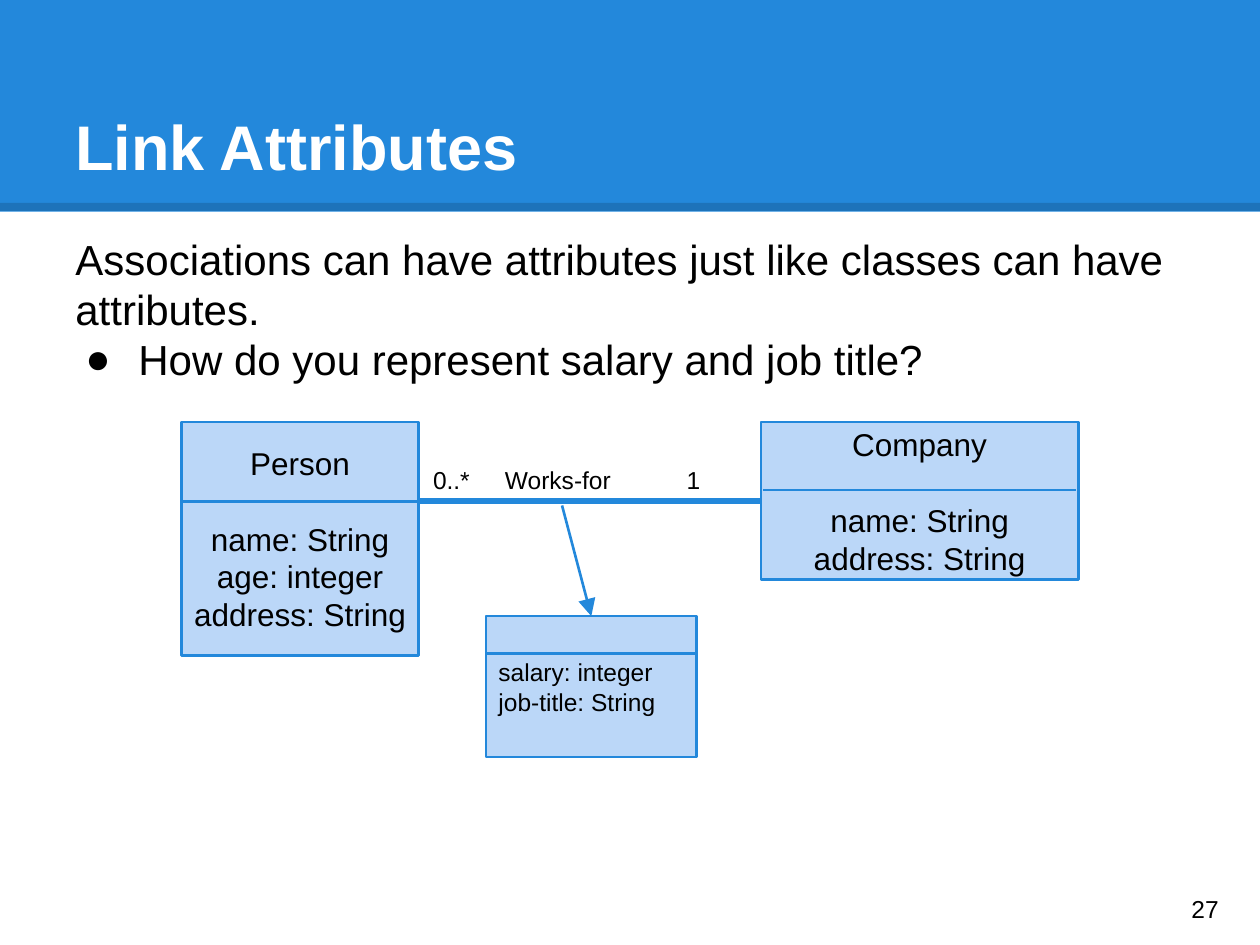
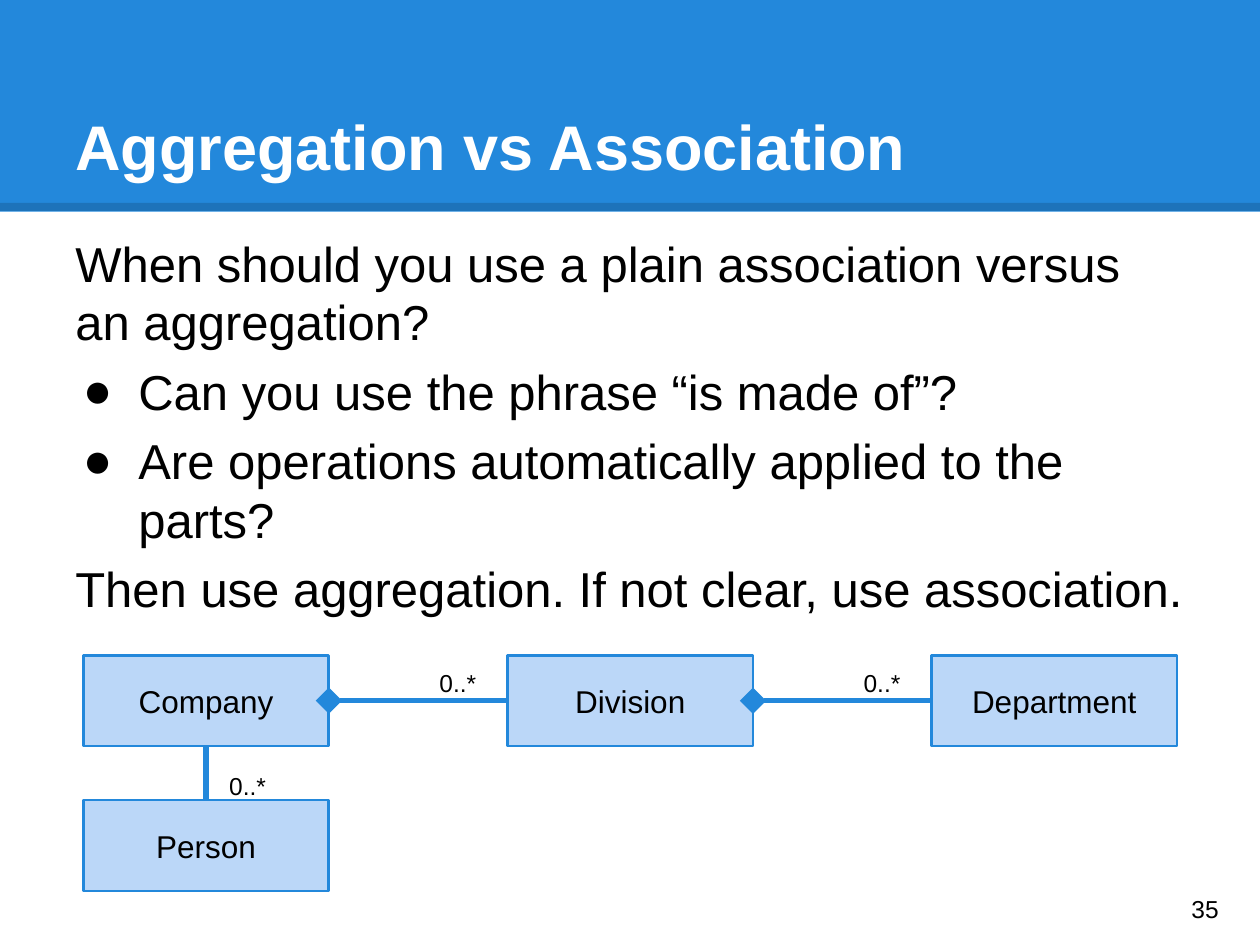
from dataclasses import dataclass

from lxml.etree import SubElement
from pptx import Presentation
from pptx.dml.color import RGBColor as RGB
from pptx.enum.shapes import MSO_CONNECTOR as Line, MSO_SHAPE as Shape
from pptx.enum.text import MSO_ANCHOR as Anchor, MSO_AUTO_SIZE as AutoSize, PP_ALIGN as Align
from pptx.oxml.ns import qn
from pptx.util import Cm, Pt

TOP, LEFT, BOTTOM, RIGHT = range(4)


@dataclass(frozen=True)
class Theme:
    font: str = "Arial"
    blue: RGB = RGB(0x23, 0x88, 0xDB)
    pale: RGB = RGB(0xBB, 0xD7, 0xF8)
    black: RGB = RGB(0, 0, 0)
    white: RGB = RGB(255, 255, 255)
    title: int = 36
    body_small: int = 24
    body_large: int = 28
    name: int = 18
    label: int = 14
    thin: float = 1.5
    thick: float = 3
    edge: float = 4.5
    edge_alpha: int = 15000
    inset: float = 0.25


class Deck:
    def __init__(self, theme):
        self.theme = theme
        self.prs = Presentation()
        self.prs.slide_width, self.prs.slide_height = Cm(25.4), Cm(19.05)
        self.s = None

    def slide(self, title, number):
        t = self.theme
        self.s = self.prs.slides.add_slide(self.prs.slide_layouts[1])
        self.band()
        sp = self.place(self.s.shapes.title, 1.27, 0.76, 22.86, 3.18)
        self.set_text(sp.text_frame, [title], t.title, t.white, Anchor.BOTTOM)
        sp.text_frame.paragraphs[0].font.bold = True
        self.label(str(number), 23.77, 17.6, 1.52, 1.45, Anchor.MIDDLE)

    def band(self):
        t = self.theme
        sp = self.rect(0, 0, 25.4, 4.27, t.blue)
        sp.line.fill.background()
        edge = self.line((0, 4.17), (25.4, 4.17), t.edge, color=t.black)
        color = edge.line._ln.find(qn("a:solidFill"))[0]
        SubElement(color, qn("a:alpha"), val=str(t.edge_alpha))
        for i, shape in enumerate((sp, edge)):
            self.s.shapes.element.insert(2 + i, shape.element)

    def place(self, sp, x, y, w, h):
        sp.left, sp.top, sp.width, sp.height = Cm(x), Cm(y), Cm(w), Cm(h)
        return sp

    def set_text(self, tf, lines, size, color=None, anchor=Anchor.TOP, align=Align.LEFT):
        t = self.theme
        tf.auto_size = AutoSize.NONE
        tf.word_wrap = True
        tf.vertical_anchor = anchor
        tf.margin_left = tf.margin_top = tf.margin_right = tf.margin_bottom = Cm(t.inset)
        for i, text in enumerate(lines):
            p = tf.add_paragraph() if i else tf.paragraphs[0]
            p.text = text
            p.alignment = align
            p.space_before = Pt(0)
            p.font.name, p.font.size = t.font, Pt(size)
            p.font.color.rgb = color or t.black

    def body(self, lines, size, w, h, hang, gap=0):
        sp = self.place(self.s.placeholders[1], 1.27, 4.45, w, h)
        self.set_text(sp.text_frame, [text for text, _ in lines], size)
        for i, (p, (_, bullet)) in enumerate(zip(sp.text_frame.paragraphs, lines)):
            pPr = p._p.get_or_add_pPr()
            pPr.set("marL", str(Cm(1.27) if bullet else 0))
            pPr.set("indent", str(-Cm(hang) if bullet else 0))
            mark = pPr.makeelement(qn("a:buChar" if bullet else "a:buNone"))
            if bullet:
                mark.set("char", "●")
            pPr.find(qn("a:defRPr")).addprevious(mark)
            p.space_before = Pt(gap if i else 0)

    def rect(self, x, y, w, h, fill):
        sp = self.s.shapes.add_shape(Shape.RECTANGLE, Cm(x), Cm(y), Cm(w), Cm(h))
        sp.shadow.inherit = False
        sp.fill.solid()
        sp.fill.fore_color.rgb = fill
        return sp

    def box(self, lines, x, y, w, h, size=None, align=Align.CENTER):
        t = self.theme
        sp = self.rect(x, y, w, h, t.pale)
        sp.line.color.rgb, sp.line.width = t.blue, Pt(t.thin)
        self.set_text(sp.text_frame, lines, size or t.name, anchor=Anchor.MIDDLE, align=align)
        return sp

    def class_box(self, name, attributes, x, y, w, h):
        sp = self.box([name, *attributes], x, y, w, h)
        sp.text_frame.paragraphs[1].space_before = Pt(21.5)
        return sp

    def label(self, text, x, y, w, h, anchor=Anchor.TOP):
        sp = self.s.shapes.add_textbox(Cm(x), Cm(y), Cm(w), Cm(h))
        self.set_text(sp.text_frame, [text], self.theme.label, anchor=anchor)

    def line(self, start=(0, 0), end=(0, 0), width=None, head=None, color=None,
             begin_at=None, end_at=None):
        t = self.theme
        c = self.s.shapes.add_connector(Line.STRAIGHT, *map(Cm, (*start, *end)))
        if begin_at:
            c.begin_connect(*begin_at)
        if end_at:
            c.end_connect(*end_at)
        c.line.color.rgb = color or t.blue
        c.line.width = Pt(width or t.thin)
        if head:
            SubElement(c.line._ln, qn("a:tailEnd"), type=head, w="lg", len="lg")
        SubElement(c.element.spPr, qn("a:effectLst"))
        return c


def link_attributes(d):
    t = d.theme
    d.slide("Link Attributes", 27)
    d.body([("Associations can have attributes just like classes can have attributes.", False),
            ("How do you represent salary and job title?", True)],
           t.body_small, 23.9, 2.46, hang=1.07)
    d.class_box("Person", ["name: String", "age: integer", "address: String"],
                3.66, 8.51, 4.78, 4.7)
    company = d.class_box("Company", ["name: String", "address: String"],
                          15.34, 8.51, 6.4, 3.18)
    d.line((3.68, 10.11), (8.48, 10.11))
    d.line((15.39, 9.88), (21.69, 9.88))
    d.line(end=(8.46, 10.1), width=t.thick, begin_at=(company, LEFT))
    for text, x, w in (("Works-for", 9.93, 3.94), ("0..*", 8.48, 1.45), ("1", 13.59, 1.75)):
        d.label(text, x, 9.12, w, 0.75)
    job = d.box(["salary: integer", "job-title: String"], 9.8, 12.42, 4.24, 2.84,
                t.label, Align.LEFT)
    d.line((9.8, 13.18), (14.04, 13.18))
    d.line((11.33, 10.19), head="triangle", end_at=(job, TOP))


def aggregation_vs_association(d):
    t = d.theme
    d.slide("Aggregation vs Association", 35)
    d.body([("When should you use a plain association versus an aggregation?", False),
            ("Can you use the phrase “is made of”?", True),
            ("Are operations automatically applied to the parts?", True),
            ("Then use aggregation. If not clear, use association.", False)],
           t.body_large, 22.86, 13.79, hang=1.12, gap=6)
    x, y, w, h, step = 1.68, 13.21, 4.95, 1.83, 8.55
    units = [d.box([name], x + i * step, y, w, h)
             for i, name in enumerate(("Company", "Division", "Department"))]
    for whole, part in zip(units, units[1:]):
        d.line(width=t.thick, head="diamond", begin_at=(part, LEFT), end_at=(whole, RIGHT))
    person = d.box(["Person"], x, 16.13, w, h)
    d.line(width=t.thick, begin_at=(units[0], BOTTOM), end_at=(person, TOP))
    for label_x, label_y in ((8.61, y), (8.61 + step, y), (4.37, 15.29)):
        d.label("0..*", label_x, label_y, 1.47, 0.61)


def main():
    d = Deck(Theme())
    link_attributes(d)
    aggregation_vs_association(d)
    d.prs.save("out.pptx")


if __name__ == "__main__":
    main()
